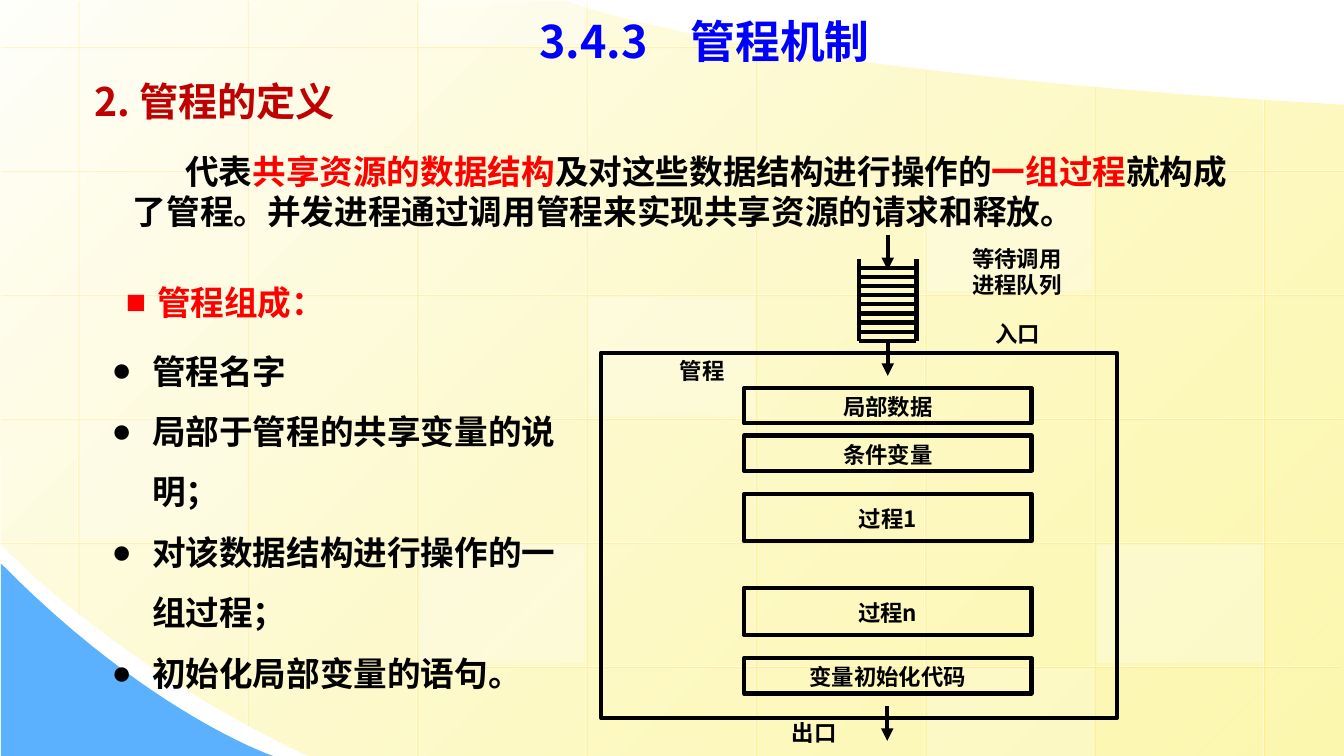
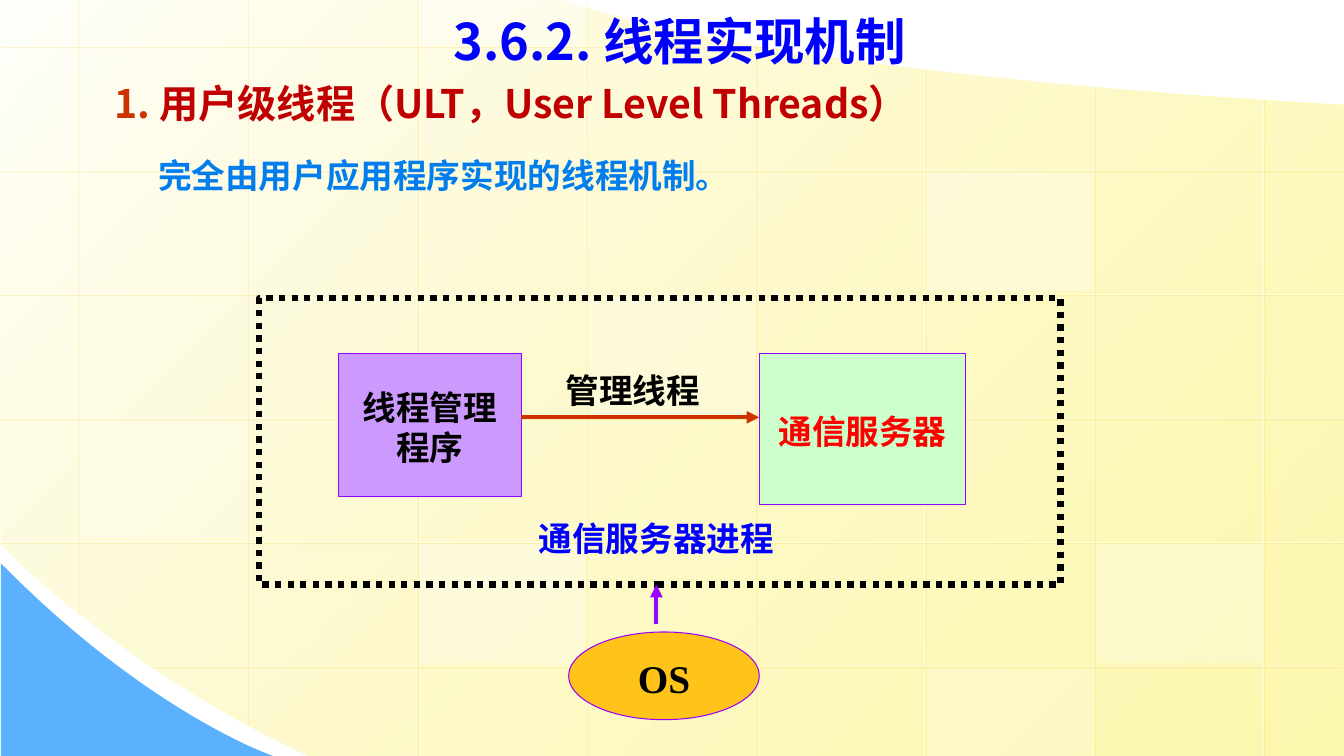
import lxml.etree
import pptx
import pptx.dml.color
import pptx.enum.dml
import pptx.enum.shapes
import pptx.enum.text
import pptx.oxml.ns
import pptx.util

Inches = pptx.util.Inches
SHAPES = pptx.enum.shapes.MSO_SHAPE
ALIGN = pptx.enum.text.PP_ALIGN
ANCHOR = pptx.enum.text.MSO_ANCHOR

SANS = "Noto Sans CJK SC"
SERIF = "Times New Roman"
BLACK = "000000"
WHITE = "FFFFFF"
RED = "FF0000"
BLUE = "0000FF"
PURPLE = "9900FF"
RUST = "CC3300"
DARK_RED = "C00000"
GRID_SHADOW = "FFCC00"


def color(value):
    """Turn a hex string into a colour."""
    return pptx.dml.color.RGBColor.from_string(value)


def add_xml(parent, tag, **attributes):
    """Append a DrawingML element with the given attributes."""
    values = {key: str(value) for key, value in attributes.items()}
    return lxml.etree.SubElement(parent, pptx.oxml.ns.qn("a:" + tag), values)


def set_alpha(shape, percent):
    """Make the last colour of a shape partly transparent."""
    last_color = list(shape.element.iter(pptx.oxml.ns.qn("a:srgbClr")))[-1]
    add_xml(last_color, "alpha", val=percent * 1000)


def set_text(box, text, size=24, ink=BLACK, font=SANS, align=ALIGN.LEFT,
             anchor=ANCHOR.TOP, leading=1.2, inset=(0.1, 0.05), margin=0,
             indent=0, bullet=None, tab=None):
    """Fill a box with bold text, given as lines or as (text, colour) spans."""
    frame = box.text_frame
    frame.word_wrap = True
    frame.vertical_anchor = anchor
    frame.margin_left = frame.margin_right = Inches(inset[0])
    frame.margin_top = Inches(inset[1] + 0.08 * size / 72)
    frame.margin_bottom = Inches(inset[1])
    if isinstance(text, str):
        paragraphs = [[(line, ink)] for line in text.split("\n")]
    else:
        paragraphs = [text]
    for index, spans in enumerate(paragraphs):
        para = frame.add_paragraph() if index else frame.paragraphs[0]
        para.alignment = align
        para.line_spacing = pptx.util.Pt(round(size * leading, 1))
        properties = para._p.get_or_add_pPr()
        properties.set("marL", str(Inches(margin)))
        properties.set("indent", str(Inches(indent)))
        if bullet:
            add_xml(properties, "buFont", typeface=SERIF)
            add_xml(properties, "buChar", char=bullet)
        if tab:
            stops = add_xml(properties, "tabLst")
            add_xml(stops, "tab", pos=Inches(tab), algn="l")
        for words, span_ink in spans:
            span = para.add_run()
            span.text = words
            span.font.size = pptx.util.Pt(size)
            span.font.bold = True
            span.font.color.rgb = color(span_ink)
            span.font.name = font
            add_xml(span.font._element, "ea", typeface=SANS)


def add_text(page, text, left, top, width, height, **style):
    """Add a text box."""
    box = page.shapes.add_textbox(
        Inches(left), Inches(top), Inches(width), Inches(height))
    set_text(box, text, **style)


def paint(shape, fill=None, line=None, weight=0.75):
    """Set fill and outline of a shape and drop its shadow."""
    shape.shadow.inherit = False
    if fill:
        shape.fill.solid()
        shape.fill.fore_color.rgb = color(fill)
    else:
        shape.fill.background()
    if line:
        shape.line.color.rgb = color(line)
        shape.line.width = pptx.util.Pt(weight)
    else:
        shape.line.fill.background()


def add_box(page, left, top, width, height, kind=SHAPES.RECTANGLE, text=None,
            fill=None, line=None, weight=0.75, **style):
    """Add a preset shape, with centred text if any."""
    box = page.shapes.add_shape(
        kind, Inches(left), Inches(top), Inches(width), Inches(height))
    paint(box, fill, line, weight)
    if text:
        set_text(box, text, align=ALIGN.CENTER, anchor=ANCHOR.MIDDLE, **style)
    return box


def add_line(page, start, end, ink=BLACK, weight=3, arrow=False):
    """Add a straight line or arrow and return it with its effect list."""
    line = page.shapes.add_connector(
        pptx.enum.shapes.MSO_CONNECTOR.STRAIGHT,
        *(Inches(value) for value in (*start, *end)))
    line.line.color.rgb = color(ink)
    line.line.width = pptx.util.Pt(weight)
    properties = line.element.spPr
    if arrow:
        add_xml(properties.find(pptx.oxml.ns.qn("a:ln")), "tailEnd",
                type="triangle")
    return line, add_xml(properties, "effectLst")


def add_grid_line(page, start, end):
    """Add a faint white line with a yellow shadow."""
    line, effects = add_line(page, start, end, WHITE, 0.75)
    set_alpha(line, 50)
    shadow = add_xml(effects, "outerShdw", blurRad=0, dist=17780, dir=2700000)
    add_xml(add_xml(shadow, "srgbClr", val=GRID_SHADOW), "alpha", val=34000)


def add_outline(page, start, segments):
    """Add a closed outline of line ends and cubic curves."""
    points = [start]
    for segment in segments:
        if len(segment) == 1:
            points.append(segment[0])
            continue
        corners = (points[-1], *segment)
        for step in range(1, 25):
            t = step / 24
            weights = ((1 - t) ** 3, 3 * t * (1 - t) ** 2,
                       3 * t ** 2 * (1 - t), t ** 3)
            points.append(tuple(
                sum(weight * corner[axis]
                    for weight, corner in zip(weights, corners))
                for axis in (0, 1)))
    points = [(Inches(x), Inches(y)) for x, y in points]
    builder = page.shapes.build_freeform(*points[0])
    builder.add_line_segments(points[1:], close=True)
    return builder.convert_to_shape()


def draw_backdrop(page):
    """Draw the yellow sheet, blue corner, grid and light tiles."""
    sheet = add_outline(page, (13.33, 1.04), [
        ((13.34, 4.27), (13.34, 7.5), (13.34, 7.5)),
        ((13.34, 7.5), (8.2, 7.5), (3.07, 7.5)),
        ((1.15, 6.61), (-0.01, 5.39), (0, 5.39)),
        ((-0.01, -0.01),),
        ((5.61, 0.01),),
        ((5.61, 0.01), (7.15, 0.69), (13.33, 1.04))])
    paint(sheet)
    sheet.fill.gradient()
    sheet.fill.gradient_angle = 315
    for stop, shade in zip(sheet.fill.gradient_stops, ("FFFFFB", "FDF58D")):
        stop.color.rgb = color(shade)
    set_alpha(sheet, 70)
    corner = add_outline(page, (0.01, 5.59), [
        ((0.01, 7.5),), ((2.71, 7.5),),
        ((2.71, 7.5), (1.49, 7.09), (0.01, 5.59))])
    paint(corner, "5CB1FE")

    tops = (0, 0, 0, 0, 0.43, 0.68, 0.85, 0.98)
    bottoms = (6.09, 7.19) + (7.5,) * 6
    for column, (top, bottom) in enumerate(zip(tops, bottoms)):
        x = 0.77 + 1.68 * column
        add_grid_line(page, (x, top), (x, bottom))
    spans = [(0, 7.57)] + [(0, 13.33)] * 4 + [(1.48, 13.29)]
    for row, (left, right) in enumerate(spans):
        y = 0.46 + 1.23 * row
        add_grid_line(page, (right, y), (left, y))

    for left, top, height, alpha in (
            (5.84, 2.94, 1.18, 25), (10.88, 5.4, 1.18, 30),
            (0.8, 4.16, 1.18, 20), (9.2, 6.63, 0.87, 20),
            (4.15, 0, 0.44, 40), (4.16, 5.4, 1.18, 30),
            (9.19, 1.71, 1.18, 30)):
        tile = add_box(page, left, top, 1.64, height, fill=WHITE)
        set_alpha(tile, alpha)


def share_backdrop(page):
    """Draw the backdrop and move it to the layout of the page."""
    layout = page.slide_layout
    for placeholder in list(layout.placeholders):
        layout.shapes.element.remove(placeholder.element)
    draw_backdrop(page)
    for shape in list(page.shapes):
        layout.shapes.element.append(shape.element)


def add_title(page, text, left, top, width, height, size, **style):
    """Add the blue page title."""
    add_text(page, text, left, top, width, height, size=size, ink=BLUE, **style)


def add_heading(page, text, left, top, width):
    """Add the dark red section heading."""
    add_text(page, text, left, top, width, 0.57, size=28, ink=DARK_RED)


def draw_queue(page, left, top, width, height):
    """Draw the queue of waiting processes with arrows in and out."""
    right, bottom, middle = left + width, top + height, left + width / 2
    for x in (left, right):
        add_line(page, (x, top), (x, bottom))
    for rung in range(9):
        y = bottom - 0.09 * rung
        add_line(page, (left, y), (right, y))
    for y in (top - 0.24, bottom):
        add_line(page, (middle, y), (middle, y + 0.35), arrow=True)


def draw_monitor(page, left, top, width, height):
    """Draw the monitor frame with its parts, labels and queue."""
    add_box(page, left, top, width, height, line=BLACK, weight=3)
    for text, offset, part_height in (
            ("局部数据", 0.35, 0.35), ("条件变量", 0.82, 0.35),
            ("过程1", 1.4, 0.47), ("过程n", 2.33, 0.47),
            ("变量初始化代码", 3.03, 0.35)):
        add_box(page, left + 1.42, top + offset, 2.85, part_height, text=text,
                line=BLACK, weight=3, size=16)
    for text, x, y, label_height in (
            ("管程", 0.28, 0.03, 0.32), ("出口", 1.39, 3.62, 0.3),
            ("入口", 3.41, -0.34, 0.34),
            ("等待调用\n进程队列", 3.4, -1.09, 0.62)):
        add_text(page, text, left + x, top + y, 1.45, label_height, size=16,
                 align=ALIGN.CENTER, inset=(0, 0))
    draw_queue(page, left + 2.56, top - 0.93, 0.57, 0.81)
    exit_x = left + 2.84
    add_line(page, (exit_x, top + 3.5), (exit_x, top + 3.85), arrow=True)


def draw_process(page, left, top, width, height):
    """Draw the server process, its threads and the system below."""
    add_box(page, left + 4.96, top + 0.55, 2.05, 1.5, text="通信服务器",
            fill="CCFFCC", line=PURPLE, ink=RED, font=SERIF)
    add_box(page, left + 0.79, top + 0.55, 1.81, 1.42, text="线程管理\n程序",
            fill="CC99FF", line=PURPLE, font=SERIF)
    frame = add_box(page, left, top, width, height, line=BLACK, weight=4.5)
    frame.line.dash_style = pptx.enum.dml.MSO_LINE.ROUND_DOT
    add_box(page, left + 3.07, top + 3.31, 1.89, 0.87, kind=SHAPES.OVAL,
            text="OS", fill="FFC319", line=PURPLE, size=28, font=SERIF)
    add_line(page, (left + 2.6, top + 1.18), (left + 4.96, top + 1.18), RUST,
             arrow=True)
    add_line(page, (left + 3.94, top + 3.23), (left + 3.94, top + height),
             PURPLE, arrow=True)
    for text, x, y, label_width, ink in (
            ("管理线程", 2.76, 0.63, 1.89, BLACK),
            ("通信服务器进程", 2.6, 2.1, 2.68, BLUE)):
        add_text(page, text, left + x, top + y, label_width, 0.51, ink=ink,
                 font=SERIF, align=ALIGN.CENTER)


def build_monitor_page(page):
    """Build the page that defines a monitor."""
    add_title(page, "3.4.3\t管程机制", 5.25, 0.05, 3.78, 0.64, 32, tab=1.39)
    add_heading(page, "2. 管程的定义", 0.84, 0.69, 3.54)
    add_text(page, [
        ("代表", BLACK), ("共享资源的数据结构", RED),
        ("及对这些数据结构进行操作的", BLACK), ("一组过程", RED),
        ("就构成了管程。并发进程通过调用管程来实现共享资源的请求和释放。", BLACK),
    ], 1.22, 1.42, 11.36, 0.91, indent=0.52)
    add_text(page, "管程组成：", 1.15, 2.72, 2.99, 0.5, ink=RED, bullet="■",
             margin=0.31, indent=-0.31)
    add_text(page, "管程名字\n局部于管程的共享变量的说明；\n"
             "对该数据结构进行操作的一组过程；\n初始化局部变量的语句。",
             0.76, 3.2, 5.04, 3.66, font=SERIF, leading=1.8, bullet="●",
             margin=0.65, indent=-0.4)
    draw_monitor(page, 5.96, 3.5, 5.12, 3.62)


def build_thread_page(page):
    """Build the page on user level threads."""
    add_heading(page, [("1. ", RUST),
                       ("用户级线程（ULT，User Level Threads）", DARK_RED)],
                1.04, 0.71, 9.88)
    add_text(page, "完全由用户应用程序实现的线程机制。", 1.47, 1.46, 8.44, 0.5,
             ink="017DED", font=SERIF)
    draw_process(page, 2.57, 2.96, 7.95, 2.84)
    add_title(page, "3.6.2. 线程实现机制", 4.4, 0, 5.5, 0.76, 36,
              anchor=ANCHOR.MIDDLE)


def main():
    """Build and save the deck."""
    deck = pptx.Presentation()
    deck.slide_width, deck.slide_height = Inches(13.33), Inches(7.5)
    blank = deck.slide_layouts[6]
    pages = [deck.slides.add_slide(blank) for _ in range(2)]
    share_backdrop(pages[0])
    build_monitor_page(pages[0])
    build_thread_page(pages[1])
    deck.save("out.pptx")


if __name__ == "__main__":
    main()
